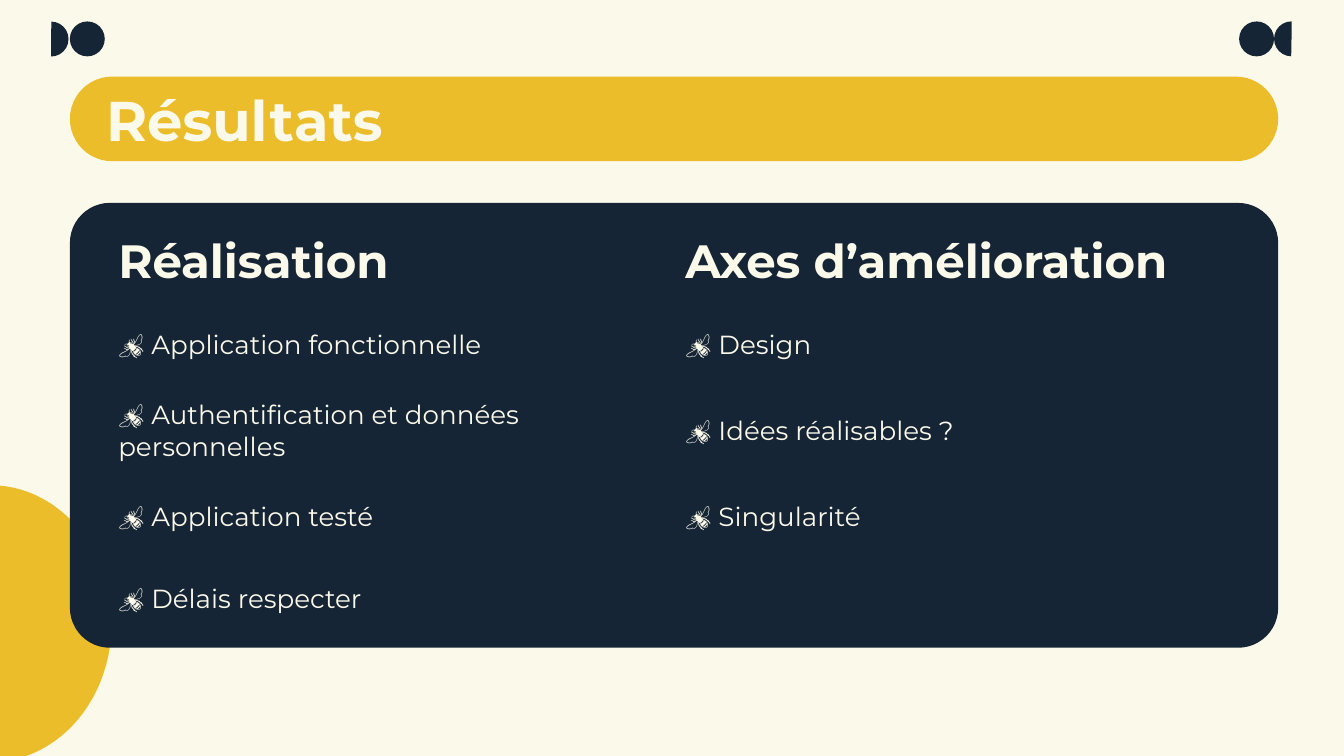
import pptx
import pptx.util
import pptx.dml.color
import pptx.enum.shapes
import pptx.enum.text
import pptx.oxml
import pptx.oxml.ns

Inches = pptx.util.Inches
MSO_SHAPE = pptx.enum.shapes.MSO_SHAPE
MIDDLE = pptx.enum.text.MSO_ANCHOR.MIDDLE

CREAM, NAVY, YELLOW = "FBF9EA", "162535", "ECBD2A"


def paint(fill, color):
    fill.solid()
    fill.fore_color.rgb = pptx.dml.color.RGBColor.from_string(color)


def write(text_frame, text, size, bold=False, color=CREAM):
    text_frame.word_wrap = True
    run = text_frame.paragraphs[0].add_run()
    run.text = text
    run.font.name = "Montserrat"
    run.font.size = pptx.util.Pt(size)
    run.font.bold = bold
    paint(run.font.fill, color)


presentation = pptx.Presentation()
presentation.slide_width = Inches(10)
presentation.slide_height = Inches(10) * 9 // 16
slide = presentation.slides.add_slide(presentation.slide_layouts[6])
paint(slide.background.fill, CREAM)

# Decorations, title bar and panel: kind, left, top, width, height, rotation, color, adjustments
half_disc = [54.58, 162]
shapes = [
    (MSO_SHAPE.PIE, 0.25, 0.16, 0.26, 0.26, 180, NAVY, half_disc),
    (MSO_SHAPE.OVAL, 0.52, 0.16, 0.26, 0.26, 0, NAVY, []),
    (MSO_SHAPE.PIE, 9.48, 0.16, 0.26, 0.26, 0, NAVY, half_disc),
    (MSO_SHAPE.OVAL, 9.22, 0.16, 0.26, 0.26, 0, NAVY, []),
    (MSO_SHAPE.PIE, -0.97, 3.61, 1.8, 2.06, 180, YELLOW, [53.46, 162]),
    (MSO_SHAPE.ROUNDED_RECTANGLE, 0.52, 0.57, 8.99, 0.63, 0, YELLOW, [0.5]),
    (MSO_SHAPE.ROUNDED_RECTANGLE, 0.52, 1.51, 8.99, 3.31, 0, NAVY, [0.09]),
]
for kind, left, top, width, height, rotation, color, adjustments in shapes:
    shape = slide.shapes.add_shape(
        kind, Inches(left), Inches(top), Inches(width), Inches(height))
    shape.rotation = rotation
    shape.shadow.inherit = False
    shape.line.fill.background()
    paint(shape.fill, color)
    for index, value in enumerate(adjustments):
        shape.adjustments[index] = value

# Table of results
rows = [
    ("Réalisation", "Axes d’amélioration"),
    ("🐝 Application fonctionnelle", "🐝 Design"),
    ("🐝 Authentification et données personnelles", "🐝 Idées réalisables ?"),
    ("🐝 Application testé", "🐝 Singularité"),
    ("🐝 Délais respecter", ""),
]
table = slide.shapes.add_table(
    len(rows), 2, Inches(0.78), Inches(1.64), Inches(8.44), Inches(3.11)).table
table.first_row = False
table.horz_banding = False
for row_index, texts in enumerate(rows):
    is_header = row_index == 0
    table.rows[row_index].height = Inches(0.36 if is_header else 0.61)
    for column_index, text in enumerate(texts):
        cell = table.cell(row_index, column_index)
        cell.vertical_anchor = MIDDLE
        cell.margin_left = cell.margin_right = Inches(0.1)
        cell.margin_top = cell.margin_bottom = Inches(0.1)
        if text:
            write(cell.text_frame, text, 25 if is_header else 14, bold=is_header)
        properties = cell._tc.get_or_add_tcPr()
        for side in "LRTB":
            properties.append(pptx.oxml.parse_xml(
                f'<a:ln{side} {pptx.oxml.ns.nsdecls("a")} w="28575"><a:solidFill>'
                f'<a:srgbClr val="{NAVY}"/></a:solidFill></a:ln{side}>'))
        cell.fill.background()

# Title
title = slide.shapes.add_textbox(Inches(0.79), Inches(0.57), Inches(8.43), Inches(0.63))
title_frame = title.text_frame
title_frame.vertical_anchor = MIDDLE
title_frame.margin_left = title_frame.margin_right = 0
title_frame.margin_top = title_frame.margin_bottom = 0
write(title_frame, "Résultats", 30, bold=True)

presentation.save("out.pptx")
